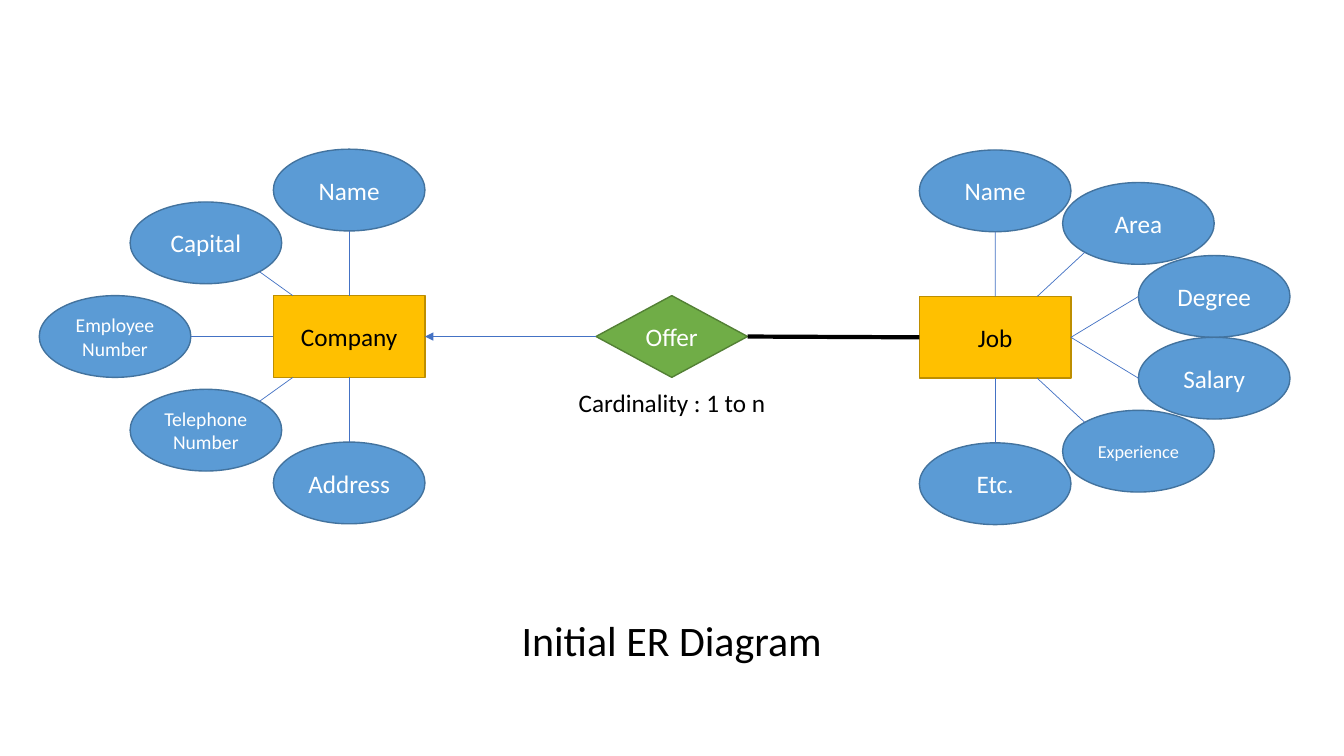
from lxml.etree import SubElement
from pptx import Presentation
from pptx.dml.color import RGBColor
from pptx.enum.shapes import MSO_CONNECTOR, MSO_SHAPE
from pptx.enum.text import MSO_ANCHOR, PP_ALIGN
from pptx.oxml.ns import qn
from pptx.util import Cm, Pt

BLACK = RGBColor(0x00, 0x00, 0x00)
WHITE = RGBColor(0xFF, 0xFF, 0xFF)
GOLD = RGBColor(0xFF, 0xC0, 0x00)
GOLD_EDGE = RGBColor(0xBD, 0x8E, 0x00)
BLUE = RGBColor(0x5B, 0x9B, 0xD5)
BLUE_EDGE = RGBColor(0x43, 0x73, 0x9E)
GREEN = RGBColor(0x70, 0xAD, 0x47)
GREEN_EDGE = RGBColor(0x53, 0x80, 0x35)
LINE_BLUE = RGBColor(0x44, 0x72, 0xC4)

WIDTH, HEIGHT = 3.82, 2.06
DIAGONAL = 0.71
TOP, LEFT, BOTTOM, RIGHT = range(4)

# Each attribute: label, offset from the entity, font size,
# side of the ellipse where the line starts, and where it meets the entity.
COMPANY_ATTRIBUTES = [
    ("Name", (0, -3.69), 18, (0, 1), TOP),
    ("Capital", (-3.61, -2.36), 18, (1, 1), (-1.42, -1.03)),
    ("Employee\nNumber", (-5.9, 0), 14, (1, 0), LEFT),
    ("Telephone\nNumber", (-3.61, 2.36), 14, (1, -1), (-1.42, 1.03)),
    ("Address", (0, 3.69), 18, (0, -1), BOTTOM),
]
JOB_ATTRIBUTES = [
    ("Name", (0, -3.69), 18, (0, 1), TOP),
    ("Area", (3.61, -2.87), 18, (-1, 1), (1.06, -1.03)),
    ("Degree", (5.52, -1.03), 18, (-1, 0), RIGHT),
    ("Salary", (5.52, 1.03), 18, (-1, 0), RIGHT),
    ("Experience", (3.61, 2.87), 13, (-1, -1), (1.06, 1.03)),
    ("Etc.", (0, 3.69), 18, (0, -1), BOTTOM),
]


def write_text(frame, text, size=18, color=BLACK, anchor=MSO_ANCHOR.MIDDLE):
    """Fill a text frame with centred paragraphs, one for each line."""
    frame.word_wrap = True
    frame.vertical_anchor = anchor
    frame.text = text
    for paragraph in frame.paragraphs:
        paragraph.alignment = PP_ALIGN.CENTER
        font = paragraph.runs[0].font
        font.name = "Calibri"
        font.size = Pt(size)
        font.color.rgb = color


def add_node(slide, kind, center, text, fill, edge, size=18, color=WHITE):
    """Add a labelled shape around its centre point."""
    x, y = center
    shape = slide.shapes.add_shape(
        kind, Cm(x - WIDTH / 2), Cm(y - HEIGHT / 2), Cm(WIDTH), Cm(HEIGHT))
    shape.shadow.inherit = False
    shape.fill.solid()
    shape.fill.fore_color.rgb = fill
    shape.line.color.rgb = edge
    shape.line.width = Pt(1)
    frame = shape.text_frame
    frame.margin_left = frame.margin_right = 0
    write_text(frame, text, size=size, color=color)
    return shape


def add_line(slide, start, end, color=LINE_BLUE, width=0.5, arrow=False):
    """Add a straight line between two points, with an optional arrowhead."""
    connector = slide.shapes.add_connector(
        MSO_CONNECTOR.STRAIGHT, *(Cm(value) for value in (*start, *end)))
    connector.line.color.rgb = color
    connector.line.width = Pt(width)
    properties = connector._element.spPr
    if arrow:
        SubElement(properties.find(qn("a:ln")), qn("a:tailEnd"), type="triangle")
    SubElement(properties, qn("a:effectLst"))
    return connector


def add_entity(slide, text, center, attributes):
    """Add an entity rectangle with its attribute ellipses and their lines."""
    x, y = center
    entity = add_node(slide, MSO_SHAPE.RECTANGLE, center, text, GOLD, GOLD_EDGE,
                      color=BLACK)
    for label, (dx, dy), size, (across, down), target in attributes:
        ellipse = add_node(slide, MSO_SHAPE.OVAL, (x + dx, y + dy), label,
                           BLUE, BLUE_EDGE, size=size)
        reach = DIAGONAL if across and down else 1
        start = (x + dx + across * reach * WIDTH / 2,
                 y + dy + down * reach * HEIGHT / 2)
        if isinstance(target, tuple):
            add_line(slide, start, (x + target[0], y + target[1]))
            continue
        spoke = add_line(slide, start, center)
        spoke.end_connect(entity, target)
        if (across, down) == (0, -1):
            spoke.begin_connect(ellipse, TOP)
    return entity


def add_relation(slide, diamond, side, entity, entity_side, **line_format):
    """Join a side of the relationship diamond to a side of an entity."""
    connector = add_line(slide, (0, 0), (1, 1), **line_format)
    connector.begin_connect(diamond, side)
    connector.end_connect(entity, entity_side)


def add_title(slide, text):
    """Place the title below the diagram."""
    title = slide.shapes.title
    title.left, title.top = Cm(11.94), Cm(15.34)
    title.width, title.height = Cm(9.98), Cm(1.55)
    write_text(title.text_frame, text, size=30)


def add_caption(slide, text):
    """Add the cardinality note below the diamond."""
    box = slide.shapes.add_textbox(Cm(11.17), Cm(9.63), Cm(11.53), Cm(1.02))
    write_text(box.text_frame, text, anchor=MSO_ANCHOR.TOP)


def main():
    """Build the entity relationship slide."""
    presentation = Presentation()
    presentation.slide_width, presentation.slide_height = Cm(33.87), Cm(19.05)
    slide = presentation.slides.add_slide(presentation.slide_layouts[5])
    add_title(slide, "Initial ER Diagram")
    company = add_entity(slide, "Company", (8.8, 8.48), COMPANY_ATTRIBUTES)
    job = add_entity(slide, "Job", (25.08, 8.5), JOB_ATTRIBUTES)
    offer = add_node(slide, MSO_SHAPE.DIAMOND, (16.93, 8.48), "Offer",
                     GREEN, GREEN_EDGE)
    add_relation(slide, offer, LEFT, company, RIGHT, arrow=True)
    add_relation(slide, offer, RIGHT, job, LEFT, color=BLACK, width=3)
    add_caption(slide, "Cardinality : 1 to n")
    presentation.save("out.pptx")


if __name__ == "__main__":
    main()
